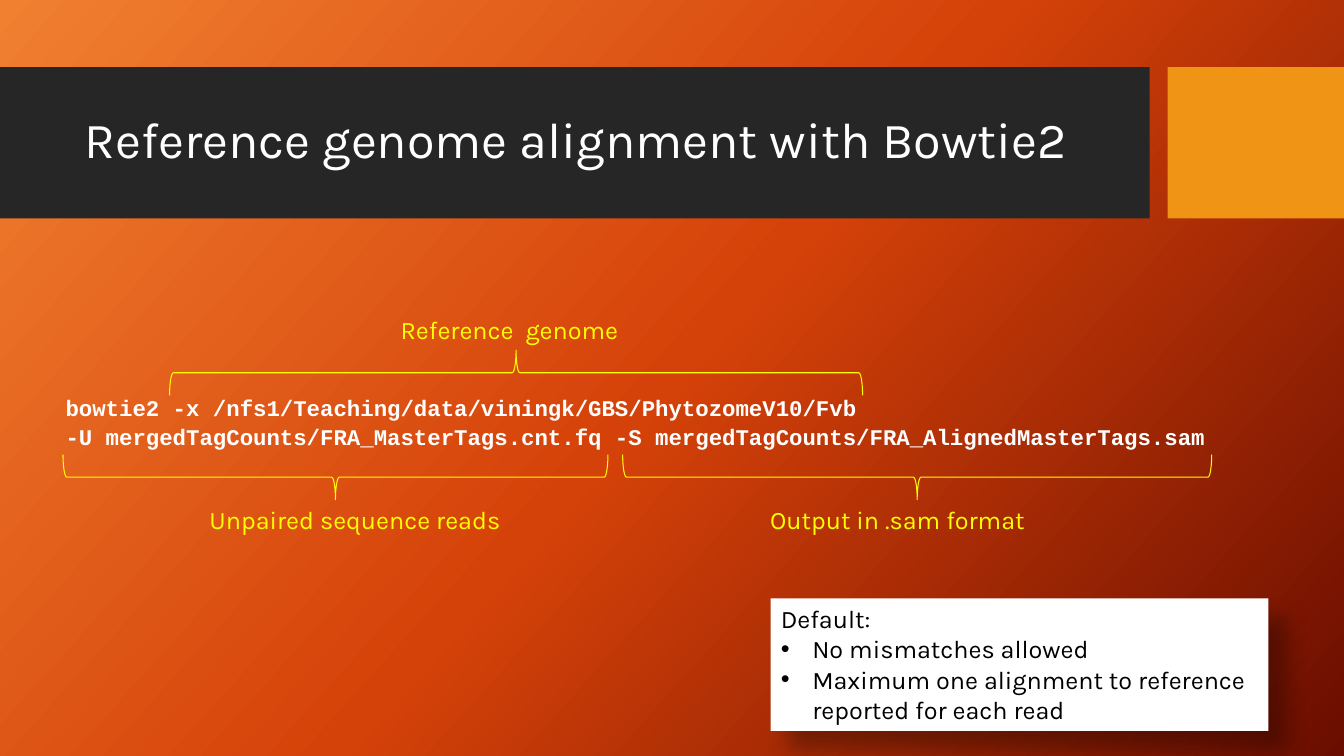
from copy import deepcopy
from dataclasses import dataclass

from lxml.etree import SubElement
from pptx import Presentation
from pptx.dml.color import RGBColor
from pptx.enum.shapes import MSO_SHAPE
from pptx.enum.text import MSO_ANCHOR, MSO_AUTO_SIZE, PP_ALIGN
from pptx.oxml.ns import qn
from pptx.util import Emu, Pt

PX = 9525  # 96 px to the inch
BLACK = RGBColor(0x00, 0x00, 0x00)
WHITE = RGBColor(0xFF, 0xFF, 0xFF)
YELLOW = RGBColor(0xFF, 0xFF, 0x00)
CHARCOAL = RGBColor(0x26, 0x26, 0x26)
AMBER = RGBColor(0xF0, 0x94, 0x15)
GRADIENT = [
    (0.0, RGBColor(0xF1, 0x80, 0x31)),
    (0.5, RGBColor(0xD5, 0x42, 0x09)),
    (1.0, RGBColor(0x6A, 0x0D, 0x00)),
]

TITLE = {"name": "Karla", "size": Pt(36)}
BODY = {"name": "Karla", "size": Pt(18)}
CODE = {"name": "Courier New", "size": Pt(16), "bold": True}
COMMAND = (
    "bowtie2 -x /nfs1/Teaching/data/viningk/GBS/PhytozomeV10/Fvb \v"
    "-U mergedTagCounts/FRA_MasterTags.cnt.fq "
    "-S mergedTagCounts/FRA_AlignedMasterTags.sam"
)
DEFAULTS = [
    "No mismatches allowed",
    "Maximum one alignment to reference reported for each read",
]


@dataclass(frozen=True)
class Box:
    left: int
    top: int
    width: int
    height: int

    def emu(self) -> list[Emu]:
        return [Emu(v * PX) for v in (self.left, self.top, self.width, self.height)]


@dataclass(frozen=True)
class Panel:
    box: Box
    color: RGBColor


@dataclass(frozen=True)
class Callout:
    """A label and the brace, given before its rotation, that points to it."""
    text: str
    label: Box
    brace: Box
    rotation: int


PANELS = [
    Panel(Box(0, 64, 1095, 144), CHARCOAL),
    Panel(Box(1112, 64, 168, 144), AMBER),
]
CALLOUTS = [
    Callout("Reference  genome", Box(372, 295, 242, 38), Box(470, 25, 43, 660), 270),
    Callout("Unpaired sequence reads", Box(190, 476, 333, 38), Box(298, 195, 43, 519), 90),
    Callout("Output in .sam format", Box(724, 476, 333, 38), Box(852, 174, 43, 561), 90),
]


def set_attrs(target, values: dict) -> None:
    for name, value in values.items():
        setattr(target, name, value)


def place(shape, box: Box) -> None:
    set_attrs(shape, dict(zip(("left", "top", "width", "height"), box.emu())))


def write(p, text: str, font: dict, color: RGBColor, **spacing) -> None:
    p.text = text
    set_attrs(p, {"alignment": PP_ALIGN.LEFT, **spacing})
    for r in p.runs:
        set_attrs(r.font, font)
        r.font.color.rgb = color


def paint_background(s) -> None:
    fill = s.background.fill
    fill.gradient()
    fill.gradient_angle = 360 - 42
    stops = s.element.find(f".//{qn('a:gsLst')}")
    stops.insert(1, deepcopy(stops[0]))
    for stop, (position, color) in zip(fill.gradient_stops, GRADIENT):
        stop.position = position
        stop.color.rgb = color


def add_panel(s, panel: Panel) -> None:
    sp = s.shapes.add_shape(MSO_SHAPE.RECTANGLE, *panel.box.emu())
    sp.shadow.inherit = False
    sp.fill.solid()
    sp.fill.fore_color.rgb = panel.color
    sp.line.fill.background()


def add_text(s, box: Box, text: str, font: dict, color: RGBColor, **spacing) -> None:
    tf = s.shapes.add_textbox(*box.emu()).text_frame
    set_attrs(tf, {"word_wrap": True, "auto_size": MSO_AUTO_SIZE.SHAPE_TO_FIT_TEXT})
    write(tf.paragraphs[0], text, font, color, **spacing)


def add_callout(s, callout: Callout) -> None:
    add_text(s, callout.label, callout.text, BODY, YELLOW)
    brace = s.shapes.add_shape(MSO_SHAPE.RIGHT_BRACE, *callout.brace.emu())
    brace.rotation = callout.rotation
    brace.shadow.inherit = False
    brace.fill.background()
    brace.line.color.rgb = YELLOW
    brace.line.width = Pt(0.75)


def add_soft_shadow(sp) -> None:
    effects = SubElement(sp.element.spPr, qn("a:effectLst"))
    shadow = SubElement(effects, qn("a:outerShdw"), blurRad=str(Pt(15)),
                        dist=str(Pt(18)), dir=str(45 * 60000), rotWithShape="0")
    color = SubElement(shadow, qn("a:srgbClr"), val=str(BLACK))
    SubElement(color, qn("a:alpha"), val="30000")


def fill_title(s) -> None:
    title = s.shapes.title
    place(title, Box(71, 79, 1009, 113))
    tf = title.text_frame
    set_attrs(tf, {"vertical_anchor": MSO_ANCHOR.MIDDLE, "auto_size": MSO_AUTO_SIZE.NONE})
    write(tf.paragraphs[0], "Reference genome alignment with Bowtie2", TITLE, WHITE,
          line_spacing=0.9)


def fill_defaults(s) -> None:
    body = s.placeholders[1]
    place(body, Box(734, 570, 474, 126))
    body.fill.solid()
    body.fill.fore_color.rgb = WHITE
    body.line.fill.background()
    add_soft_shadow(body)
    tf = body.text_frame
    set_attrs(tf, {"word_wrap": True, "auto_size": MSO_AUTO_SIZE.NONE})
    heading = tf.paragraphs[0]
    write(heading, "Default:", BODY, BLACK, space_before=Pt(0))
    pPr = heading._p.get_or_add_pPr()
    set_indent(pPr, 0)
    SubElement(pPr, qn("a:buNone"))
    for text in DEFAULTS:
        p = tf.add_paragraph()
        write(p, text, BODY, BLACK, space_before=Pt(0))
        pPr = p._p.get_or_add_pPr()
        set_indent(pPr, 30)
        SubElement(pPr, qn("a:buFont"), typeface="Arial")
        SubElement(pPr, qn("a:buChar"), char="•")


def set_indent(pPr, hanging: int) -> None:
    pPr.set("marL", str(hanging * PX))
    pPr.set("indent", str(-hanging * PX))


def main() -> None:
    prs = Presentation()
    prs.slide_width, prs.slide_height = Emu(1280 * PX), Emu(720 * PX)
    s = prs.slides.add_slide(prs.slide_layouts[1])
    title, body = s.shapes.title, s.placeholders[1]
    tree = title.element.getparent()
    paint_background(s)
    for panel in PANELS:
        add_panel(s, panel)
    tree.append(title.element)  # in front of the panels
    fill_title(s)
    add_text(s, Box(53, 369, 1210, 64), COMMAND, CODE, WHITE,
             line_spacing=1.07, space_after=Pt(2))
    for callout in CALLOUTS:
        add_callout(s, callout)
    tree.append(body.element)
    fill_defaults(s)
    prs.save("out.pptx")


if __name__ == "__main__":
    main()
